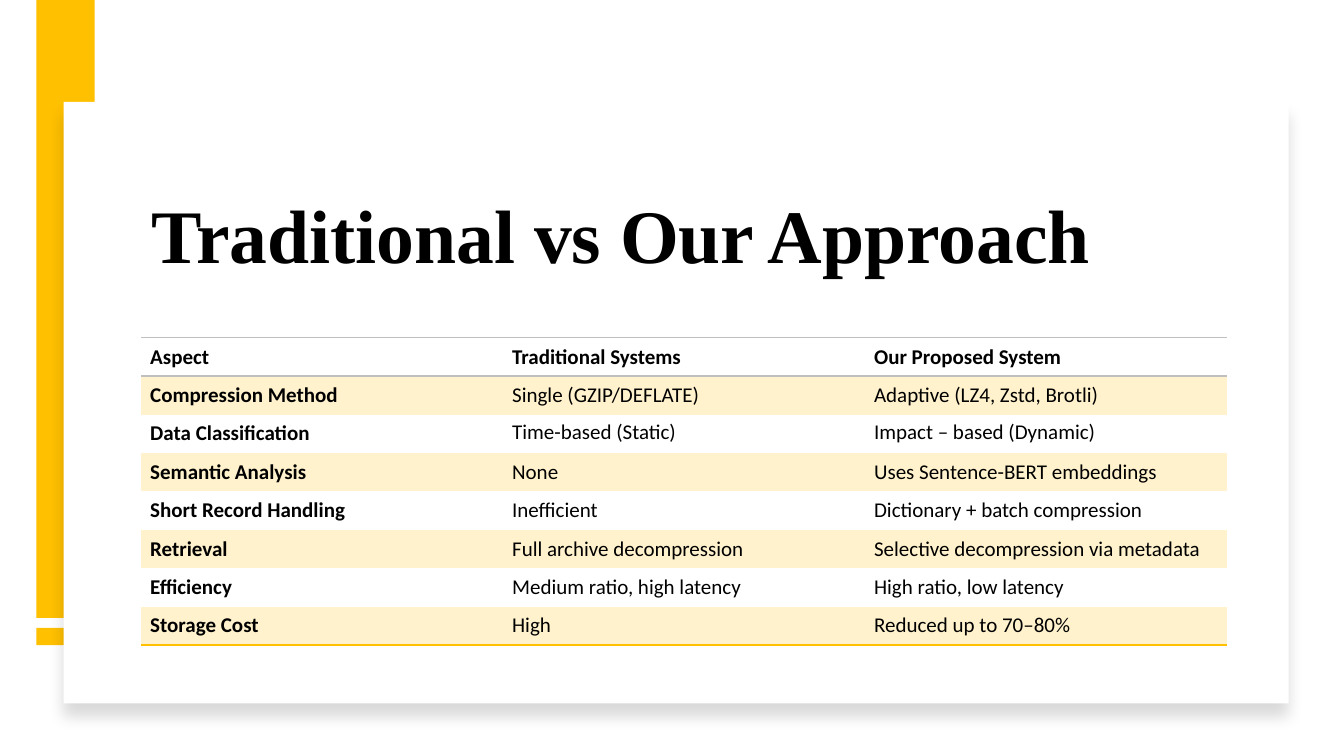
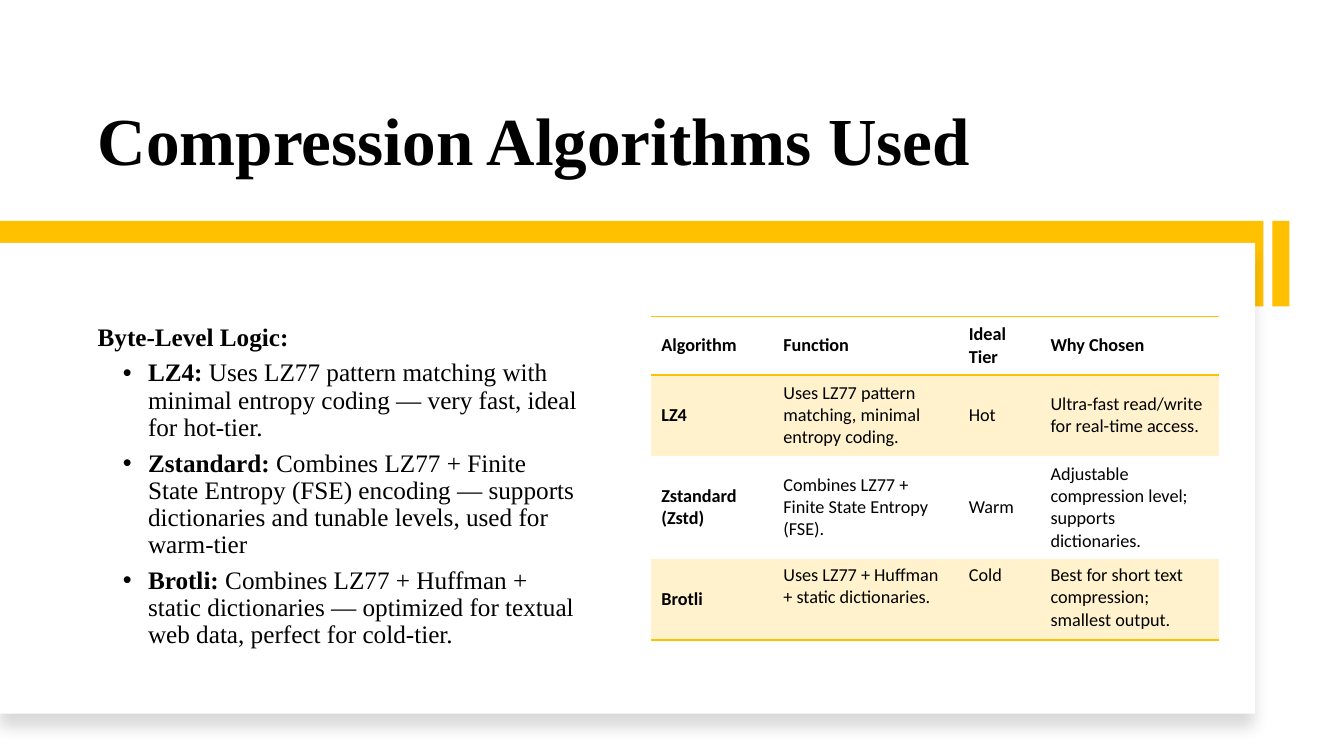
from dataclasses import dataclass

from lxml.etree import SubElement
from pptx import Presentation
from pptx.dml.color import RGBColor
from pptx.enum.shapes import MSO_SHAPE
from pptx.enum.text import MSO_ANCHOR, MSO_AUTO_SIZE, PP_ALIGN
from pptx.oxml import parse_xml
from pptx.oxml.ns import nsdecls, qn
from pptx.util import Inches, Pt

GOLD, PALE, WHITE, BLACK, GRAY = "FFC000", "FFF2CC", "FFFFFF", "000000", "BFBFBF"
SERIF, SANS = "Times New Roman", "Calibri"
PLAIN_TABLE = "{2D5ABB26-0587-4C30-8999-92F81FD0307C}"


@dataclass(frozen=True)
class Box:
    """Place and size in inches."""
    x: float
    y: float
    w: float
    h: float

    def emu(self) -> tuple:
        """Give the four lengths for python-pptx."""
        return tuple(Inches(v) for v in (self.x, self.y, self.w, self.h))


@dataclass(frozen=True)
class Frame:
    """Title, gold bars and card of one slide."""
    title: str
    title_box: Box
    title_size: int
    bars: tuple
    card: Box


@dataclass(frozen=True)
class Grid:
    """Table content and style."""
    box: Box
    cols: tuple
    row_heights: tuple
    rows: tuple
    size: int
    inset: float
    header_line: str
    top_cells: frozenset


@dataclass(frozen=True)
class Bullet:
    """Bold term and its explanation."""
    term: str
    text: str


COMPARISON_FRAME = Frame(
    "Traditional vs Our Approach", Box(1.4, 1.35, 10.77, 1.48), 54,
    (Box(0.36, 6.23, 0.58, 0.17), Box(0.36, 0, 0.58, 6.13)),
    Box(0.63, 1.01, 12.15, 5.97))

COMPARISON = Grid(
    Box(1.4, 3.35, 10.77, 3.05), (3.59,) * 3, (3.05 / 8,) * 8,
    (("Aspect", "Traditional Systems", "Our Proposed System"),
     ("Compression Method", "Single (GZIP/DEFLATE)", "Adaptive (LZ4, Zstd, Brotli)"),
     ("Data Classification", "Time-based (Static)", "Impact – based (Dynamic)"),
     ("Semantic Analysis", "None", "Uses Sentence-BERT embeddings"),
     ("Short Record Handling", "Inefficient", "Dictionary + batch compression"),
     ("Retrieval", "Full archive decompression", "Selective decompression via metadata"),
     ("Efficiency", "Medium ratio, high latency", "High ratio, low latency"),
     ("Storage Cost", "High", "Reduced up to 70–80%")),
    15, 0.09, GRAY, frozenset({(2, 1), (2, 2)}))

ALGORITHMS_FRAME = Frame(
    "Compression Algorithms Used", Box(0.87, 0.42, 11.01, 1.42), 48,
    (Box(0, 2.19, 12.53, 0.85), Box(12.62, 2.19, 0.17, 0.85)),
    Box(0, 2.41, 12.45, 4.67))

ALGORITHMS = Grid(
    Box(6.46, 3.14, 5.63, 3.22), (1.21, 1.84, 0.81, 1.77), (0.58, 0.8, 1.03, 0.8),
    (("Algorithm", "Function", "Ideal Tier", "Why Chosen"),
     ("LZ4", "Uses LZ77 pattern matching, minimal entropy coding.", "Hot",
      "Ultra-fast read/write for real-time access."),
     ("Zstandard (Zstd)", "Combines LZ77 + Finite State Entropy (FSE).", "Warm",
      "Adjustable compression level; supports dictionaries."),
     ("Brotli", "Uses LZ77 + Huffman + static dictionaries.", "Cold",
      "Best for short text compression; smallest output.")),
    13, 0.1, GOLD, frozenset({(3, 1), (3, 2), (3, 3)}))

LOGIC_BOX = Box(0.87, 2.84, 4.96, 3.98)
LOGIC = (
    Bullet("LZ4:", " Uses LZ77 pattern matching with minimal entropy coding — "
           "very fast, ideal for hot-tier."),
    Bullet("Zstandard:", " Combines LZ77 + Finite State Entropy (FSE) encoding — "
           "supports dictionaries and tunable levels, used for warm-tier"),
    Bullet("Brotli:", " Combines LZ77 + Huffman + static dictionaries — "
           "optimized for textual web data, perfect for cold-tier."),
)


def rgb(color: str) -> RGBColor:
    """Turn a hex string into a colour."""
    return RGBColor.from_string(color)


def style_run(r, name: str, size: float, bold: bool) -> None:
    """Set the font of a run."""
    r.font.name, r.font.size, r.font.bold = name, Pt(size), bold
    r.font.color.rgb = rgb(BLACK)


def add_rect(s, box: Box, color: str):
    """Draw a flat rectangle."""
    sp = s.shapes.add_shape(MSO_SHAPE.RECTANGLE, *box.emu())
    sp.shadow.inherit = False
    sp.fill.solid()
    sp.fill.fore_color.rgb = rgb(color)
    sp.line.fill.background()
    return sp


def add_shadow(sp) -> None:
    """Give a shape a soft shadow below."""
    effects = sp._element.spPr.find(qn("a:effectLst"))
    shadow = SubElement(effects, qn("a:outerShdw"), blurRad=str(Pt(11)), dist=str(Pt(10)),
                        dir="5400000", algn="t", rotWithShape="0")
    color = SubElement(shadow, qn("a:srgbClr"), val=BLACK)
    SubElement(color, qn("a:alpha"), val="15000")


def add_slide(prs, frame: Frame):
    """Add a slide with its bars, card and title."""
    s = prs.slides.add_slide(prs.slide_layouts[5])
    for bar in frame.bars:
        add_rect(s, bar, GOLD)
    add_shadow(add_rect(s, frame.card, WHITE))
    title = s.shapes.title
    s.shapes._spTree.append(title._element)
    title.left, title.top, title.width, title.height = frame.title_box.emu()
    tf = title.text_frame
    tf.text = frame.title
    tf.word_wrap, tf.auto_size = True, MSO_AUTO_SIZE.NONE
    tf.vertical_anchor = MSO_ANCHOR.BOTTOM
    p = tf.paragraphs[0]
    p.alignment, p.line_spacing = PP_ALIGN.LEFT, 0.9
    style_run(p.runs[0], SERIF, frame.title_size, True)
    return s


def add_border(cell, index: int, side: str, color: str) -> None:
    """Put a line on one side of a cell."""
    line = parse_xml(f'<a:{side} {nsdecls("a")} w="{Pt(1)}"><a:solidFill>'
                     f'<a:srgbClr val="{color}"/></a:solidFill></a:{side}>')
    cell._tc.get_or_add_tcPr().insert(index, line)


def fill_cell(cell, grid: Grid, row: int, col: int) -> None:
    """Write and format one cell."""
    cell.text_frame.text = grid.rows[row][col]
    style_run(cell.text_frame.paragraphs[0].runs[0], SANS, grid.size, row == 0 or col == 0)
    cell.margin_left = cell.margin_right = Inches(grid.inset)
    cell.margin_top = cell.margin_bottom = Inches(0.05)
    top = (row, col) in grid.top_cells
    cell.vertical_anchor = MSO_ANCHOR.TOP if top else MSO_ANCHOR.MIDDLE
    if row % 2:
        cell.fill.solid()
        cell.fill.fore_color.rgb = rgb(PALE)
    else:
        cell.fill.background()
    if row == 0:
        add_border(cell, 0, "lnT", grid.header_line)
        add_border(cell, 1, "lnB", grid.header_line)
    elif row == len(grid.rows) - 1:
        add_border(cell, 0, "lnB", GOLD)


def add_grid(s, grid: Grid) -> None:
    """Draw a table with banded rows."""
    table = s.shapes.add_table(len(grid.rows), len(grid.cols), *grid.box.emu()).table
    table.first_row = table.horz_banding = False
    table._tbl.tblPr.find(qn("a:tableStyleId")).text = PLAIN_TABLE
    for column, width in zip(table.columns, grid.cols):
        column.width = Inches(width)
    for i, height in enumerate(grid.row_heights):
        table.rows[i].height = Inches(height)
        for j in range(len(grid.cols)):
            fill_cell(table.cell(i, j), grid, i, j)


def add_bullets(s, box: Box, heading: str, bullets: tuple) -> None:
    """Write a heading and its bullet list."""
    tf = s.shapes.add_textbox(*box.emu()).text_frame
    tf.word_wrap, tf.vertical_anchor = True, MSO_ANCHOR.MIDDLE
    tf.text = heading
    style_run(tf.paragraphs[0].runs[0], SERIF, 18, True)
    for bullet in bullets:
        p = tf.add_paragraph()
        p.level = 1
        for text, bold in ((bullet.term, True), (bullet.text, False)):
            r = p.add_run()
            r.text = text
            style_run(r, SERIF, 18, bold)
        pPr = p._p.get_or_add_pPr()
        pPr.set("marL", str(Inches(0.5)))
        pPr.set("indent", str(Inches(-0.25)))
        SubElement(pPr, qn("a:buFont"), typeface="Arial")
        SubElement(pPr, qn("a:buChar"), char="•")
    for p in tf.paragraphs:
        p.line_spacing, p.space_after = 0.9, Pt(6)


def main() -> None:
    """Build and save the slides."""
    prs = Presentation()
    prs.slide_width, prs.slide_height = Inches(13.33), Inches(7.5)
    s = add_slide(prs, COMPARISON_FRAME)
    add_grid(s, COMPARISON)
    s = add_slide(prs, ALGORITHMS_FRAME)
    add_bullets(s, LOGIC_BOX, "Byte-Level Logic:", LOGIC)
    add_grid(s, ALGORITHMS)
    prs.save("out.pptx")


if __name__ == "__main__":
    main()
